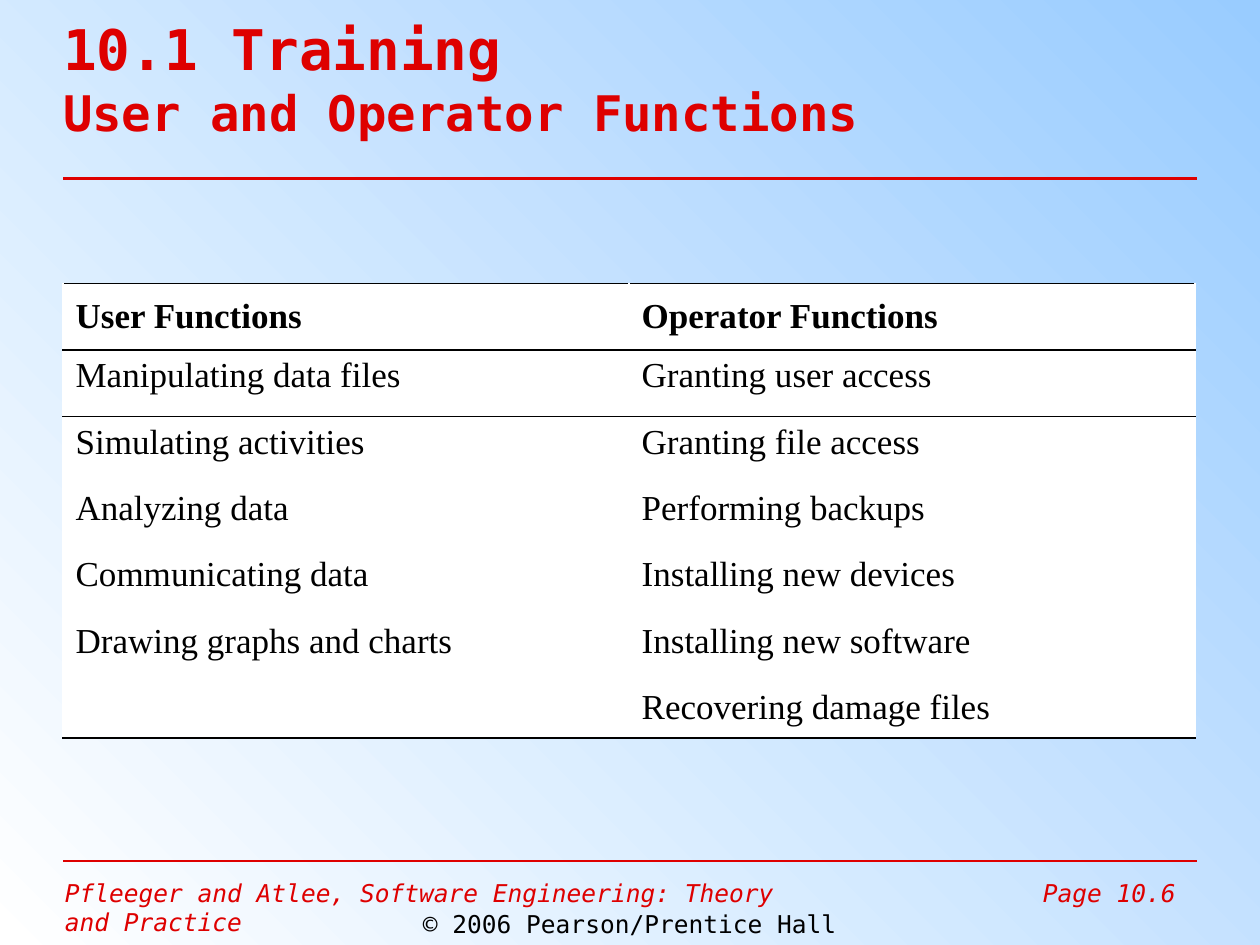
from pptx import Presentation
from pptx.dml.color import RGBColor as RGB
from pptx.enum.shapes import MSO_CONNECTOR as Conn
from pptx.enum.text import MSO_ANCHOR as Anchor, PP_ALIGN as Align
from pptx.oxml import parse_xml
from pptx.oxml.ns import nsdecls
from pptx.util import Pt

RED = RGB(0xDE, 0, 0)
BLACK = RGB(0, 0, 0)
WHITE = RGB(0xFF, 0xFF, 0xFF)
BLUE = RGB(0x99, 0xCC, 0xFF)
MONO = "DejaVu Sans Mono"
SERIF = "Times New Roman"

ROWS = [
    ("User Functions", "Operator Functions"),
    ("Manipulating data files", "Granting user access"),
    ("Simulating activities", "Granting file access"),
    ("Analyzing data", "Performing backups"),
    ("Communicating data", "Installing new devices"),
    ("Drawing graphs and charts", "Installing new software"),
    ("", "Recovering damage files"),
]


class Deck:
    def __init__(self):
        self.prs = Presentation()
        self.prs.slide_width, self.prs.slide_height = Pt(720), Pt(540)
        self.slide = self.prs.slides.add_slide(self.prs.slide_layouts[6])

    def back(self, start, end, angle):
        fill = self.slide.background.fill
        fill.gradient()
        fill.gradient_angle = angle
        for stop, color in zip(fill.gradient_stops, (start, end)):
            stop.color.rgb = color

    def style(self, run, size, color, face=MONO, bold=False, italic=False):
        font = run.font
        font.name, font.size = face, Pt(size)
        font.bold, font.italic = bold, italic
        font.color.rgb = color

    def text(self, box, words, sizes, color, align=Align.LEFT, **look):
        frame = self.slide.shapes.add_textbox(*map(Pt, box)).text_frame
        frame.word_wrap = True
        frame.text = words
        para = frame.paragraphs[0]
        para.alignment = align
        for run, size in zip(para.runs, sizes):
            self.style(run, size, color, **look)
        return frame

    def rule(self, left, right, top, width):
        line = self.slide.shapes.add_connector(
            Conn.STRAIGHT, Pt(left), Pt(top), Pt(right), Pt(top))
        line.line.color.rgb = RED
        line.line.width = Pt(width)
        line._element.spPr.append(
            parse_xml(f"<a:effectLst {nsdecls('a')}/>"))

    def border(self, cell, sides):
        props = cell._tc.get_or_add_tcPr()
        for i, side in enumerate(sides):
            props.insert(i, parse_xml(
                f'<a:ln{side} {nsdecls("a")} w="{Pt(1.08)}"><a:solidFill>'
                f'<a:srgbClr val="{BLACK}"/></a:solidFill></a:ln{side}>'))

    def table(self, left, top, width, heights, rows):
        grid = self.slide.shapes.add_table(
            len(rows), len(rows[0]), Pt(left), Pt(top),
            Pt(width), Pt(sum(heights))).table
        grid.first_row = grid.horz_banding = False
        # Rules above and below the head, and below the last row
        sides = {0: "TB", 1: "T", len(rows) - 1: "B"}
        for r, row in enumerate(rows):
            grid.rows[r].height = Pt(heights[r])
            for c, words in enumerate(row):
                cell = grid.cell(r, c)
                cell.fill.solid()
                cell.fill.fore_color.rgb = WHITE
                cell.vertical_anchor = Anchor.TOP if r else Anchor.MIDDLE
                self.border(cell, sides.get(r, ""))
                cell.text_frame.text = words
                for run in cell.text_frame.paragraphs[0].runs:
                    self.style(run, 20, BLACK, SERIF, bold=r == 0)


def main():
    deck = Deck()
    deck.back(BLUE, WHITE, 225)

    # Footer
    deck.text((30, 498, 432, 25),
              "Pfleeger and Atlee, Software Engineering: Theory and Practice",
              [14], RED, italic=True)
    deck.text((564, 498, 115, 25), "Page 10.6", [14], RED,
              Align.RIGHT, italic=True)
    deck.text((0, 516, 720, 25), "© 2006 Pearson/Prentice Hall", [14],
              BLACK, Align.CENTER)

    # Rules above the footer and below the title
    deck.rule(36, 684, 492, 0.75)
    deck.rule(36, 684, 102, 1.5)

    # Title
    title = deck.text((36, 0, 647, 89),
                      "10.1 Training\vUser and Operator Functions",
                      [32, 28], RED, bold=True)
    title.vertical_anchor = Anchor.MIDDLE
    title.margin_left = title.margin_right = 0
    title.margin_top = title.margin_bottom = 0

    # Functions of users and operators
    deck.table(36, 162, 647, [38] * 6 + [32], ROWS)

    deck.prs.save("out.pptx")


if __name__ == "__main__":
    main()
